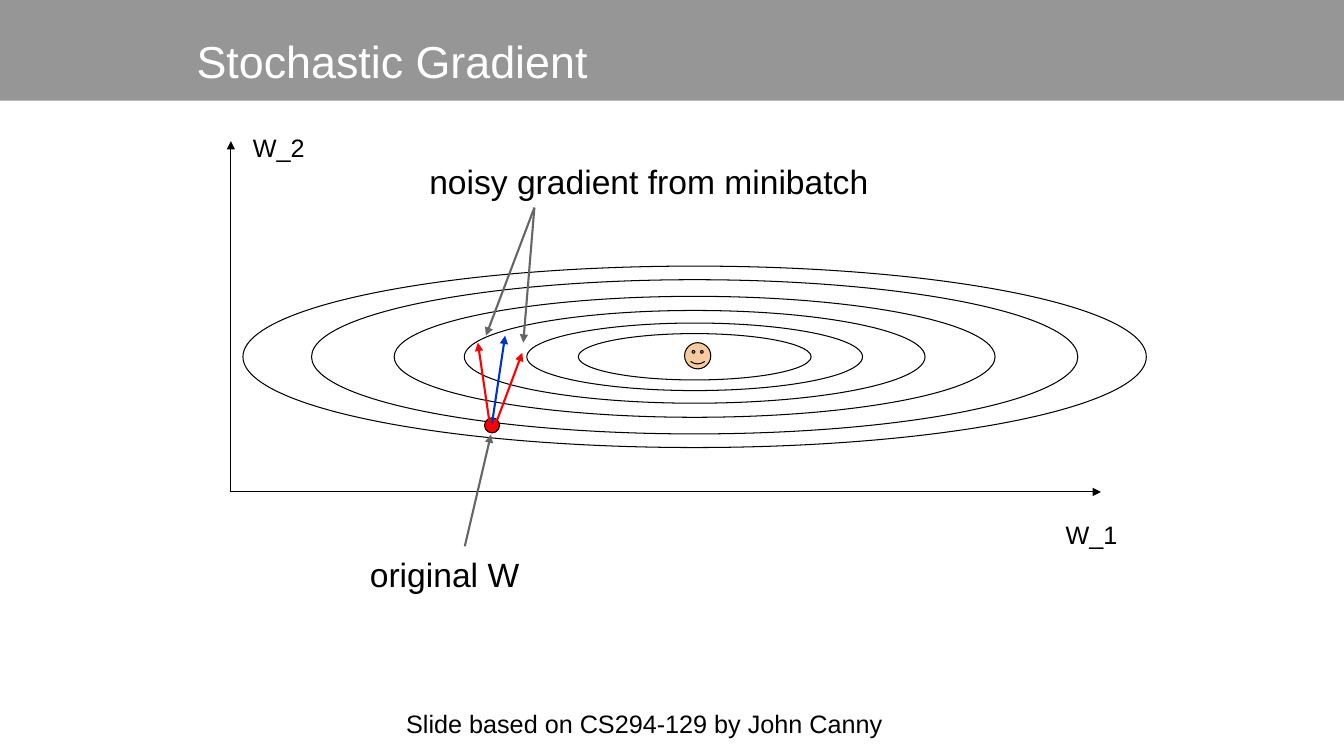
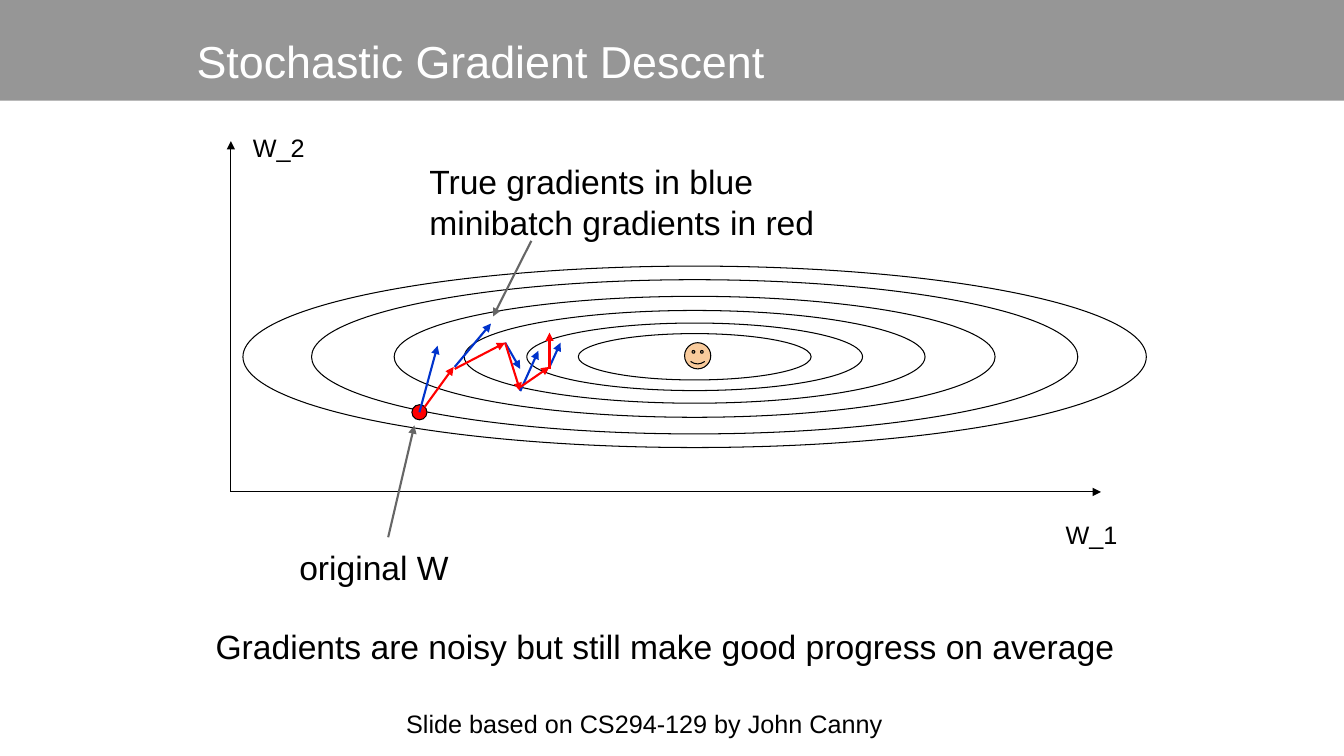
from pptx import Presentation
from pptx.dml.color import RGBColor
from pptx.enum.shapes import MSO_CONNECTOR, MSO_SHAPE
from pptx.enum.text import MSO_ANCHOR, MSO_AUTO_SIZE, PP_ALIGN
from pptx.oxml.ns import qn
from pptx.util import Inches, Pt
from lxml import etree

OVAL, FACE, RECT = MSO_SHAPE.OVAL, MSO_SHAPE.SMILEY_FACE, MSO_SHAPE.RECTANGLE
LINE = MSO_CONNECTOR.STRAIGHT
TOP, LEFT, FIXED = MSO_ANCHOR.TOP, PP_ALIGN.LEFT, MSO_AUTO_SIZE.NONE

BLACK = RGBColor(0x00, 0x00, 0x00)
WHITE = RGBColor(0xFF, 0xFF, 0xFF)
BAND = RGBColor(0x96, 0x96, 0x96)
GREY = RGBColor(0x66, 0x66, 0x66)
RED = RGBColor(0xFF, 0x00, 0x00)
BLUE = RGBColor(0x00, 0x33, 0xCC)
SKIN = RGBColor(0xF9, 0xCB, 0x9C)

# Centre of the contour rings, and their widths and heights
MID_X, MID_Y = 6.89, 3.54
RINGS = [(8.96, 1.8), (7.6, 1.53), (5.96, 1.2),
         (4.57, 0.92), (3.33, 0.67), (2.31, 0.46)]

# Labels: text, left, top, width, height, size
AXES = [("W_1", 10.47, 5.05, 1.02, 0.44, 18),
        ("W_2", 2.41, 1.21, 1.02, 0.44, 18)]
CREDIT = "Slide based on CS294-129 by John Canny"

# Arrows: start x, start y, end x, end y, colour
PAGES = [
    {"title": "Stochastic Gradient",
     "dot": (4.88, 4.22),
     "labels": [("original W", 3.57, 5.4, 2.08, 0.57, 24),
                ("noisy gradient from minibatch", 4.16, 1.5, 5.43, 0.57, 24)],
     "arrows": [(5.3, 2.06, 4.82, 3.33, GREY),
                (5.3, 2.06, 5.19, 3.4, GREY),
                (4.61, 5.42, 4.87, 4.31, GREY),
                (4.88, 4.2, 5.01, 3.33, BLUE),
                (4.93, 4.17, 5.18, 3.5, RED),
                (4.87, 4.29, 4.74, 3.4, RED)]},
    {"title": "Stochastic Gradient Descent",
     "dot": (4.16, 4.09),
     "labels": [("original W", 2.87, 5.33, 2.08, 0.57, 24),
                ("True gradients in blue\vminibatch gradients in red",
                 4.16, 1.5, 5.43, 0.57, 24),
                ("Gradients are noisy but still make good progress on average",
                 2.04, 6.11, 9.33, 0.57, 24)],
     "arrows": [(5.27, 2.39, 4.89, 3.14, GREY),
                (3.85, 5.33, 4.11, 4.22, GREY),
                (4.16, 4.09, 4.34, 3.43, BLUE),
                (4.21, 4.04, 4.5, 3.64, RED),
                (4.51, 3.66, 5.01, 3.4, RED),
                (5.01, 3.4, 5.16, 3.66, BLUE),
                (4.51, 3.64, 4.87, 3.21, BLUE),
                (5.01, 3.4, 5.16, 3.88, RED),
                (5.16, 3.88, 5.34, 3.48, BLUE),
                (5.16, 3.84, 5.45, 3.64, RED),
                (5.45, 3.64, 5.56, 3.4, BLUE),
                (5.45, 3.66, 5.45, 3.3, RED)]},
]


def write(shape, text, size=18, color=BLACK, pad=0.1):
    """Fill a shape with left-aligned text, pad inches below its top."""
    frame = shape.text_frame
    frame.word_wrap = True
    frame.auto_size = FIXED
    frame.vertical_anchor = TOP
    frame.margin_left = frame.margin_right = Inches(0.1)
    frame.margin_top = frame.margin_bottom = Inches(pad)
    frame.text = text
    for para in frame.paragraphs:
        para.alignment = LEFT
        for run in para.runs:
            run.font.name = "Arial"
            run.font.size = Pt(size)
            run.font.color.rgb = color


def arrow(slide, x1, y1, x2, y2, color=BLACK, width=1.5):
    link = slide.shapes.add_connector(
        LINE, Inches(x1), Inches(y1), Inches(x2), Inches(y2))
    link.line.color.rgb = color
    link.line.width = Pt(width)
    props = link.element.spPr
    etree.SubElement(props.find(qn("a:ln")), qn("a:tailEnd"), type="triangle")
    etree.SubElement(props, qn("a:effectLst"))


deck = Presentation()
deck.slide_width, deck.slide_height = Inches(13.33), Inches(7.5)
master = deck.slide_master
layout = deck.slide_layouts.get_by_name("Title Only")

# Shared title place
head = master.placeholders[0]
head.left, head.top = Inches(1.85), Inches(0.23)
head.width, head.height = Inches(9.65), Inches(0.91)

for page in PAGES:
    slide = deck.slides.add_slide(layout)
    write(slide.shapes.title, page["title"], size=32, color=WHITE)

    # Contour rings, start point and goal, each placed by its centre
    marks = [(OVAL, MID_X, MID_Y, w, h, None) for w, h in RINGS]
    marks.append((OVAL, *page["dot"], 0.15, 0.15, RED))
    marks.append((FACE, 6.92, 3.53, 0.26, 0.26, SKIN))
    for kind, x, y, w, h, fill in marks:
        mark = slide.shapes.add_shape(
            kind, Inches(x - w / 2), Inches(y - h / 2), Inches(w), Inches(h))
        mark.shadow.inherit = False
        mark.line.color.rgb = BLACK
        mark.line.width = Pt(0.75)
        if fill is None:
            mark.fill.background()
        else:
            mark.fill.solid()
            mark.fill.fore_color.rgb = fill

    for end in [(10.92, 4.88), (2.29, 1.4)]:
        arrow(slide, 2.29, 4.88, *end, width=0.75)
    for spec_row in page["arrows"]:
        arrow(slide, *spec_row)

    for text, x, y, w, h, size in AXES + page["labels"]:
        box = slide.shapes.add_textbox(Inches(x), Inches(y), Inches(w), Inches(h))
        write(box, text, size=size)
    box = slide.shapes.add_textbox(
        Inches(3.93), Inches(6.98), Inches(5.26), Inches(0.4))
    write(box, CREDIT, pad=0.05)

# The band is made on a slide, then moved to the back of the master
band = deck.slides[0].shapes.add_shape(RECT, 0, 0, deck.slide_width, Inches(1))
band.shadow.inherit = False
band.fill.solid()
band.fill.fore_color.rgb = BAND
band.line.fill.background()
master.element.cSld.spTree.insert(2, band.element)

deck.save("out.pptx")
